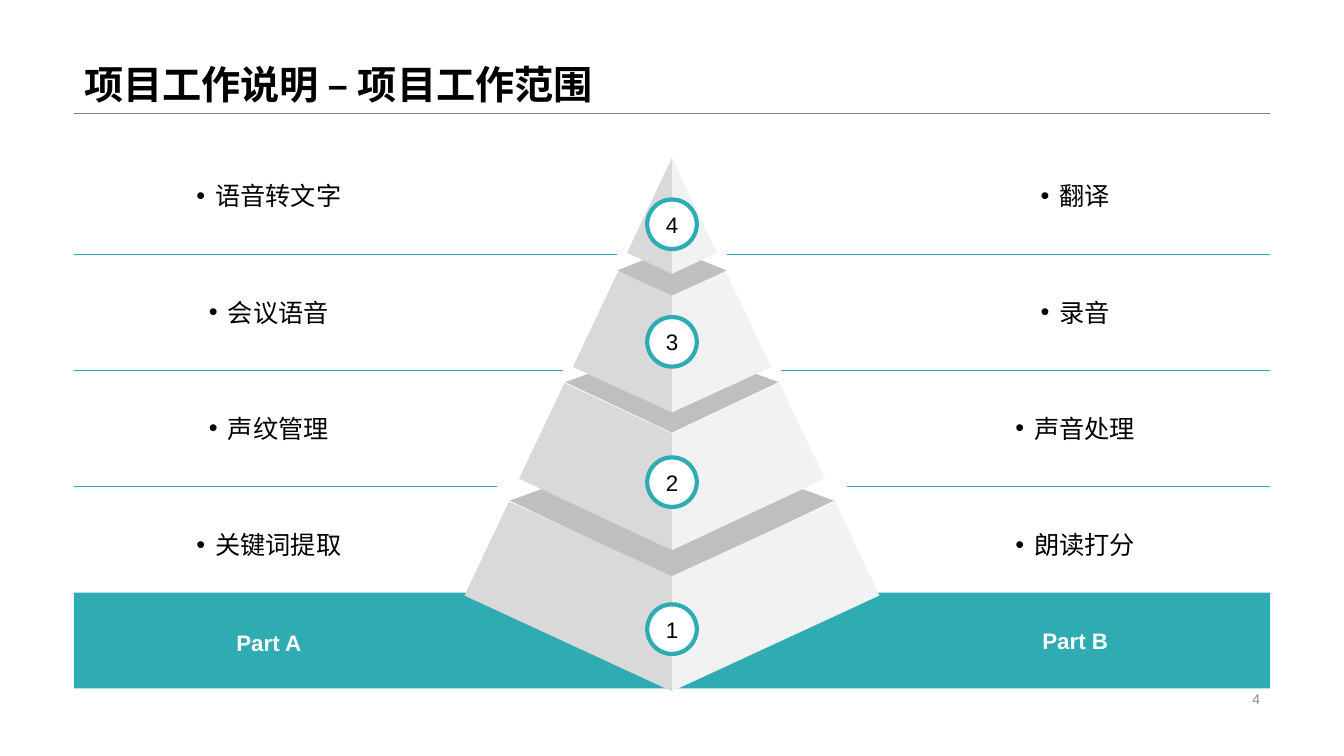
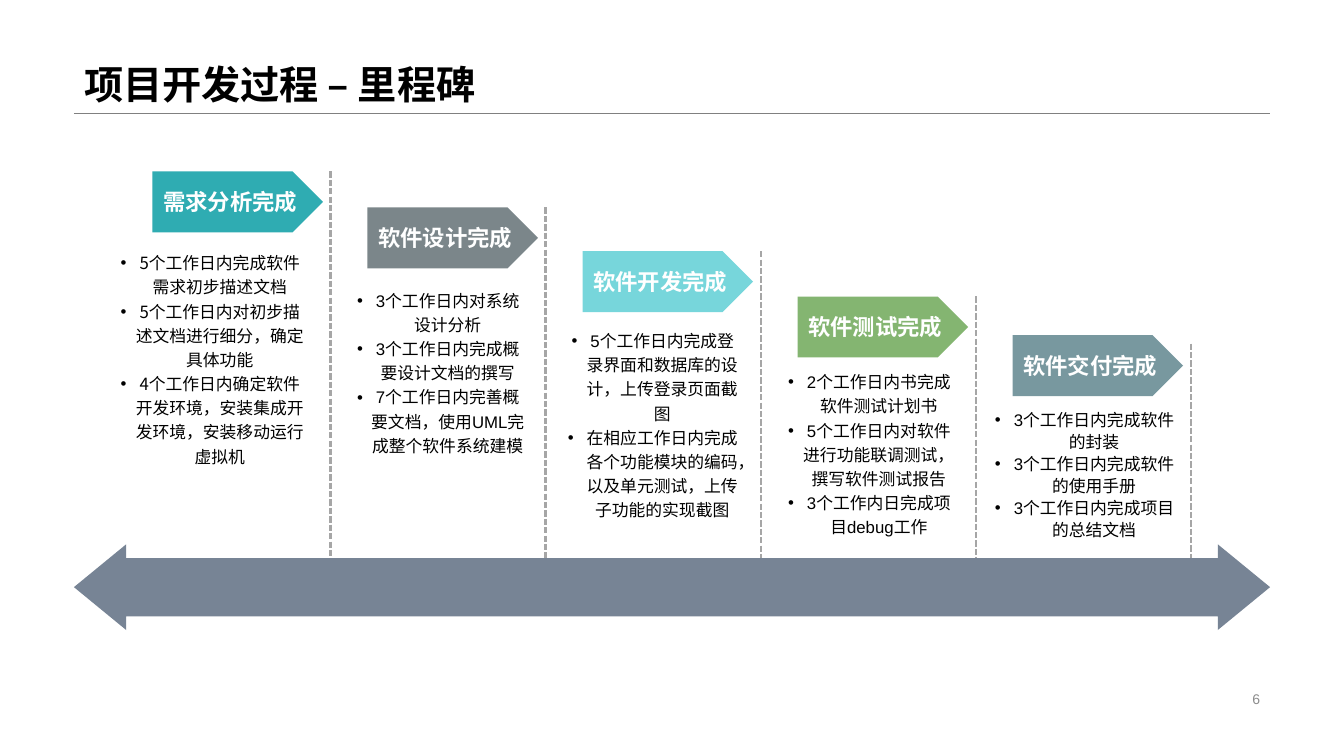
import lxml.etree
import pptx
import pptx.dml.color
import pptx.enum.dml
import pptx.enum.shapes
import pptx.enum.text
import pptx.oxml.ns
import pptx.util

# Grid: 160 columns by 90 rows of square cells
COLS, ROWS = 160, 90
CELL = pptx.util.Inches(7.5) / ROWS
LEFT, RIGHT, MID = 8.8, 151.2, 80
WIDE = RIGHT - LEFT

TEAL, WHITE, BLACK = "2FACB2", "FFFFFF", "000000"
FONT, HAN = "Arial", "Noto Sans CJK SC"
SHAPE = pptx.enum.shapes.MSO_SHAPE
ALIGN = pptx.enum.text.PP_ALIGN
ANCHOR = pptx.enum.text.MSO_ANCHOR
SIZE = pptx.enum.text.MSO_AUTO_SIZE
qn = pptx.oxml.ns.qn


def cells(*counts):
    return [pptx.util.Emu(round(n * CELL)) for n in counts]


def hue(code):
    return pptx.dml.color.RGBColor.from_string(code)


def write(frame, text, size=16, color=BLACK, bold=False, font=FONT,
          align=ALIGN.CENTER, anchor=ANCHOR.MIDDLE, wrap=True,
          lead=1.0, gap=0, dots=False):
    """Fill a frame with one line, or with a list of paragraphs."""
    frame.word_wrap = wrap
    frame.auto_size = SIZE.NONE
    frame.vertical_anchor = anchor
    lines = [text] if isinstance(text, str) else text
    for i, line in enumerate(lines):
        para = frame.add_paragraph() if i else frame.paragraphs[0]
        para.alignment = align
        para.line_spacing = lead
        para.space_before = pptx.util.Pt(gap if i else 0)
        para.space_after = pptx.util.Pt(0)
        run = para.add_run()
        run.text = line
        run.font.size = pptx.util.Pt(size)
        run.font.bold = bold
        run.font.name = font
        run.font.color.rgb = hue(color)
        lxml.etree.SubElement(run.font._element, qn("a:ea"), typeface=HAN)
        if dots:
            props = para._p.get_or_add_pPr()
            hang = cells(2.25)[0]
            props.set("marL", str(hang))
            props.set("indent", str(-hang))
            lxml.etree.SubElement(props, qn("a:buFont"), typeface=FONT)
            lxml.etree.SubElement(props, qn("a:buChar"), char="•")


class Deck:
    def __init__(self):
        self.file = pptx.Presentation()
        self.file.slide_width, self.file.slide_height = cells(COLS, ROWS)

    def page(self, layout, title, number):
        """Start a slide with its title, rule and page number."""
        self.slide = self.file.slides.add_slide(self.file.slide_layouts[layout])
        self.shapes = self.slide.shapes
        head = self.shapes.title
        self.free = [p for p in self.slide.placeholders
                     if p.placeholder_format.idx]
        self.place(head, LEFT, 0, WIDE, 13.4)
        write(head.text_frame, title, size=28, bold=True, lead=0.9,
              align=ALIGN.LEFT, anchor=ANCHOR.BOTTOM)
        self.line(LEFT, 13.45, RIGHT, 13.45, "808080", 0.25)
        self.label(113, 81.8, 38.2, 2.8, str(number), size=10,
                   color="8C8C8C", align=ALIGN.RIGHT)

    def place(self, item, *box):
        item.left, item.top, item.width, item.height = cells(*box)

    def label(self, x, y, w, h, text, **style):
        box = self.shapes.add_textbox(*cells(x, y, w, h))
        write(box.text_frame, text, **style)

    def bullets(self, box, lines, **style):
        """Use the next body placeholder, or a text box once all are taken."""
        if self.free:
            item = self.free.pop(0)
            self.place(item, *box)
            write(item.text_frame, lines, dots=True, **style)
        else:
            self.label(*box, lines, dots=True, **style)

    def paint(self, item, fill, edge=None):
        item.shadow.inherit = False
        item.fill.solid()
        item.fill.fore_color.rgb = hue(fill)
        if edge:
            item.line.color.rgb = hue(edge)
            item.line.width = pptx.util.Pt(3)
        else:
            item.line.fill.background()

    def block(self, kind, box, fill, text=None, edge=None, bends=(), **style):
        item = self.shapes.add_shape(kind, *cells(*box))
        self.paint(item, fill, edge)
        for i, bend in enumerate(bends):
            item.adjustments[i] = bend
        if text:
            write(item.text_frame, text, wrap=False, **style)

    def facet(self, points, fill):
        first, *rest = [cells(*point) for point in points]
        pen = self.shapes.build_freeform(*first)
        pen.add_line_segments(rest, close=True)
        self.paint(pen.convert_to_shape(), fill)

    def line(self, x1, y1, x2, y2, color, width, dash=None):
        item = self.shapes.add_connector(
            pptx.enum.shapes.MSO_CONNECTOR.STRAIGHT, *cells(x1, y1, x2, y2))
        item.line.color.rgb = hue(color)
        item.line.width = pptx.util.Pt(width)
        if dash:
            item.line.dash_style = dash
        lxml.etree.SubElement(item._element.spPr, qn("a:effectLst"))


def scope(deck):
    deck.page(3, "项目工作说明 – 项目工作范围", 4)
    side = 46.4

    # Base band with its two labels
    deck.block(SHAPE.RECTANGLE, (LEFT, 70.55, WIDE, 11.4), TEAL)
    deck.label(LEFT, 71.1, side, 10.8, "Part A", color=WHITE, bold=True)
    deck.label(RIGHT - side, 71.1, side, 10.3, "Part B", color=WHITE, bold=True)

    # Lists, one entry in each row
    lists = [(LEFT, ["语音转文字", "会议语音", "声纹管理", "关键词提取"]),
             (RIGHT - side, ["翻译", "录音", "声音处理", "朗读打分"])]
    for x, lines in lists:
        deck.bullets((x, 18.5, side, 50.4), lines, size=18,
                     lead=pptx.util.Pt(26), gap=57)

    # Pyramid, from the base up
    # Lid: half width, back, side, front
    # Face: top half width, side, middle; foot half width, side, middle
    tiers = [
        ((19.3, 52.6, 59.6, 68.8), (19.4, 59.7, 68.6, 24.7, 70.9, 82.3), 74.9),
        ((12.7, 40.9, 45.5, 51.5), (12.8, 45.6, 51.6, 18.2, 57, 65.5), 57.4),
        ((6.5, 29.6, 32.2, 35.4), (6.4, 32.3, 35.2, 11.8, 43.7, 49.1), 40.7),
        (None, (0, 18.8, 18.8, 5.35, 30.1, 32.6), 26.7),
    ]
    for lid, face, _ in tiers:
        if lid:
            half, back, edge, front = lid
            deck.facet([(MID, back), (MID - half, edge),
                        (MID, front), (MID + half, edge)], "BFBFBF")
        top, high, peak, foot, low, tip = face
        for sign, fill in ((1, "F2F2F2"), (-1, "D9D9D9")):
            deck.facet([(MID + sign * top, high), (MID, peak), (MID, tip),
                        (MID + sign * foot, low)], fill)

    # Numbered badges
    disc = 5.9
    for rank, (_, _, y) in enumerate(tiers, 1):
        deck.block(SHAPE.OVAL, (MID - disc / 2, y - disc / 2, disc, disc),
                   WHITE, str(rank), edge=TEAL)

    # Row rules, broken by the pyramid
    for row, gap in enumerate((6.55, 13, 20.8)):
        y = 30.25 + 13.85 * row
        deck.line(LEFT, y, MID - gap, y, TEAL, 0.5)
        deck.line(MID + gap, y, RIGHT, y, TEAL, 0.5)


def stages(deck):
    deck.page(4, "项目开发过程 – 里程碑", 6)

    # Stage: name, fill, top, top of dashes, list box, lead, font, lines
    steps = [
        ("需求分析完成", TEAL, 20.4, 20.4, (12.5, 29.04, 25.08, 34.6), 1.2, HAN,
         ["5个工作日内完成软件需求初步描述文档",
          "5个工作日内对初步描述文档进行细分，确定具体功能",
          "4个工作日内确定软件开发环境，安装集成开发环境，安装移动运行虚拟机"]),
        ("软件设计完成", "7B868A", 24.7, 24.7, (40.3, 33.5, 23.76, 30.2), 1.2, FONT,
         ["3个工作日内对系统设计分析",
          "3个工作日内完成概要设计文档的撰写",
          "7个工作日内完善概要文档，使用UML完成整个软件系统建模"]),
        ("软件开发完成", "77D6DB", 29.9, 29.9, (65.9, 38.3, 23.64, 26.4), 1.2, FONT,
         ["5个工作日内完成登录界面和数据库的设计，上传登录页面截图",
          "在相应工作日内完成各个功能模块的编码，以及单元测试，上传子功能的实现截图"]),
        ("软件测试完成", "84B571", 35.3, 35.3, (91.8, 43.2, 23.4, 21.2), 1.2, FONT,
         ["2个工作日内书完成软件测试计划书",
          "5个工作日内对软件进行功能联调测试，撰写软件测试报告",
          "3个工作内日完成项目debug工作"]),
        ("软件交付完成", "78989F", 39.9, 40.9, (117, 47.9, 24.24, 16.9), 1.1, FONT,
         ["3个工作日内完成软件的封装",
          "3个工作日内完成软件的使用手册",
          "3个工作日内完成项目的总结文档"]),
    ]
    for i, (name, fill, y, start, box, lead, font, lines) in enumerate(steps):
        x = 18.15 + 25.6 * i
        deck.block(SHAPE.PENTAGON, (x, y, 20.3, 7.25), fill, name,
                   color=WHITE, bold=True)
        deck.line(x + 21.2, start, x + 21.2, 66.8, "A6A6A6", 1.5,
                  pptx.enum.dml.MSO_LINE.SQUARE_DOT)
        deck.bullets(box, lines, size=12, font=font, lead=lead,
                     anchor=ANCHOR.TOP)

    # Time arrow
    deck.block(SHAPE.LEFT_RIGHT_ARROW, (LEFT, 64.8, WIDE, 10.2), "778495",
               bends=(0.68, 0.61))


def main():
    deck = Deck()
    scope(deck)
    stages(deck)
    deck.file.save("out.pptx")


if __name__ == "__main__":
    main()
